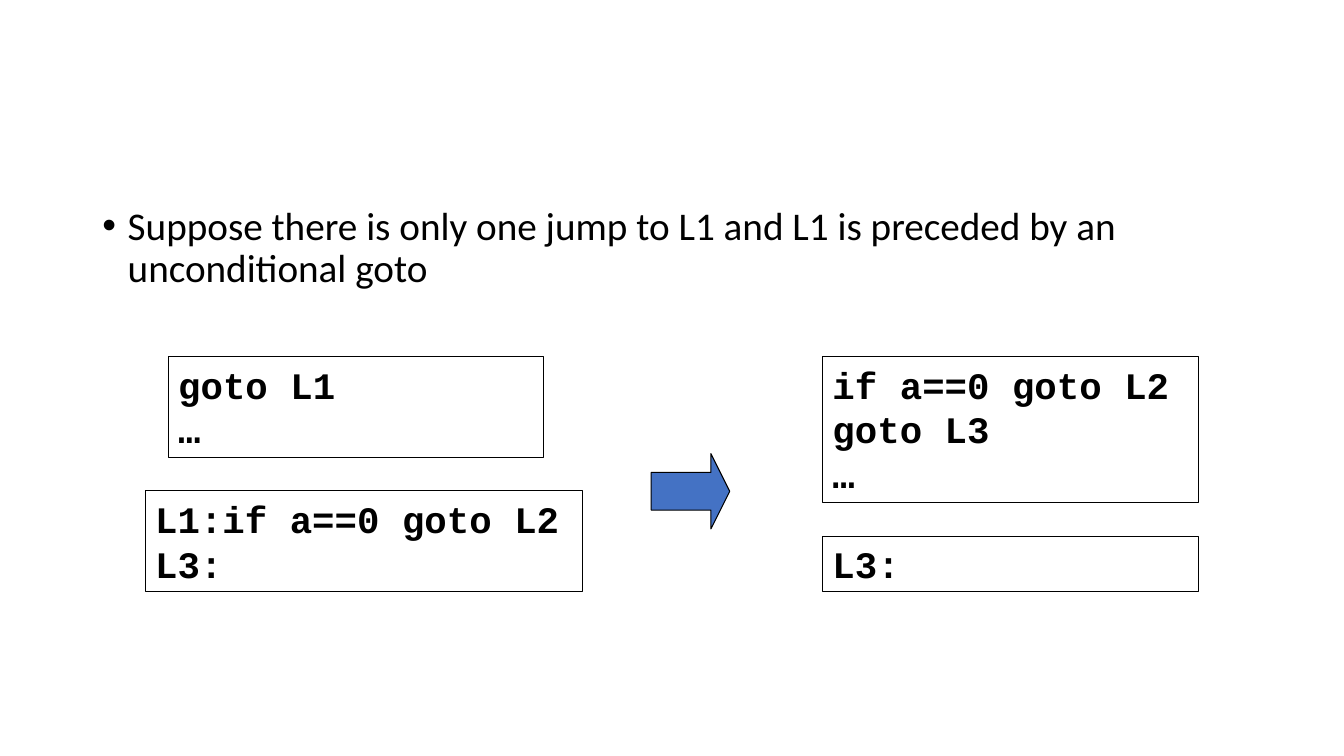
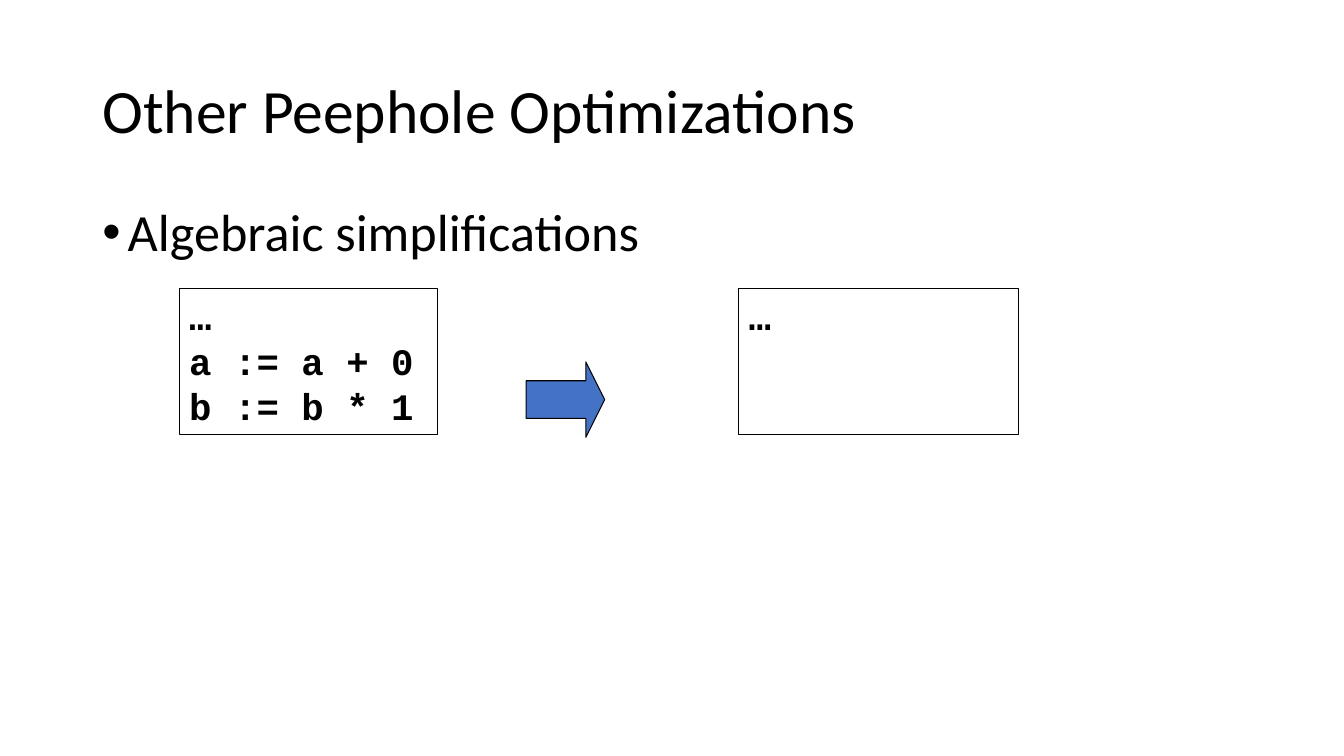
from dataclasses import dataclass

from lxml import etree
from pptx import Presentation
from pptx import util as u
from pptx.dml.color import RGBColor
from pptx.enum import shapes, text
from pptx.oxml.ns import qn


@dataclass(frozen=True)
class Theme:
    ink: RGBColor = RGBColor(0, 0, 0)
    blue: RGBColor = RGBColor(0x44, 0x72, 0xC4)
    sans: str = "Calibri"
    mono: str = "Courier New"
    title: float = 44
    code: float = 26.7
    edge: float = 0.75


@dataclass(frozen=True)
class Code:
    left: float
    top: float
    width: float
    rows: int  # lines of height
    paras: tuple[str, ...]


@dataclass(frozen=True)
class Page:
    title: str
    point: str
    size: float
    arrow: tuple[float, float]
    codes: tuple[Code, ...]


THEME = Theme()
LEFT, WIDTH = 2.33, 29.21  # shared text column, cm
ROW, PAD = 1.14, 0.26  # code line height and box padding, cm

PAGES = (
    Page(
        "",
        "Suppose there is only one jump to L1 and L1 is preceded by an unconditional goto",
        28,
        (16.41, 11.43),
        (
            Code(4.24, 8.99, 9.47, 2, ("goto L1", "…")),
            Code(3.66, 12.37, 11.02, 2, ("L1:if a==0 goto L2 L3:",)),
            Code(20.73, 8.99, 9.47, 3, ("if a==0 goto L2", "goto L3", "…")),
            Code(20.73, 13.51, 9.47, 1, ("L3:",)),
        ),
    ),
    Page(
        "Other Peephole Optimizations",
        "Algebraic simplifications",
        37.3,
        (13.26, 9.12),
        (
            Code(4.52, 7.26, 6.5, 3, ("…\na := a + 0\nb := b * 1",)),
            Code(18.62, 7.26, 7.06, 3, ("…",)),
        ),
    ),
)


def style(para, face: str, size: float, bold: bool = False) -> None:
    font = para.font
    font.name, font.size, font.bold = face, u.Pt(size), bold
    font.color.rgb = THEME.ink


def column(slide, top: float, high: float, words: str):
    """Add a text box in the shared column; return its frame and paragraph."""
    box = slide.shapes.add_textbox(u.Cm(LEFT), u.Cm(top), u.Cm(WIDTH), u.Cm(high))
    frame = box.text_frame
    frame.word_wrap = True
    para = frame.paragraphs[0]
    para.text = words
    para.line_spacing = 0.9
    return frame, para


def title(slide, words: str) -> None:
    frame, para = column(slide, 1.01, 3.68, words)
    frame.vertical_anchor = text.MSO_ANCHOR.MIDDLE
    style(para, THEME.sans, THEME.title)


def bullet(slide, words: str, size: float) -> None:
    _, para = column(slide, 5.08, 12.09, words)
    props = para._p.get_or_add_pPr()
    props.set("marL", str(u.Cm(0.64)))
    props.set("indent", str(-u.Cm(0.64)))
    etree.SubElement(props, qn("a:buFont")).set("typeface", "Arial")
    etree.SubElement(props, qn("a:buChar")).set("char", "•")
    style(para, THEME.sans, size)


def outline(slide, kind, left: float, top: float, width: float, high: float):
    """Add a shape with the shared thin edge and no shadow."""
    shape = slide.shapes.add_shape(kind, u.Cm(left), u.Cm(top), u.Cm(width), u.Cm(high))
    shape.shadow.inherit = False
    shape.line.color.rgb = THEME.ink
    shape.line.width = u.Pt(THEME.edge)
    return shape


def listing(slide, code: Code) -> None:
    box = outline(slide, shapes.MSO_SHAPE.RECTANGLE, code.left, code.top,
                  code.width, code.rows * ROW + PAD)
    box.fill.background()
    frame = box.text_frame
    frame.word_wrap = True
    frame.vertical_anchor = text.MSO_ANCHOR.TOP
    for i, words in enumerate(code.paras):
        para = frame.add_paragraph() if i else frame.paragraphs[0]
        para.text = words
        para.alignment = text.PP_ALIGN.LEFT
        style(para, THEME.mono, THEME.code, bold=True)


def arrow(slide, left: float, top: float) -> None:
    shape = outline(slide, shapes.MSO_SHAPE.RIGHT_ARROW, left, top, 1.98, 1.9)
    shape.adjustments[1] = 0.25
    shape.fill.solid()
    shape.fill.fore_color.rgb = THEME.blue


def main() -> None:
    deck = Presentation()
    deck.slide_width, deck.slide_height = u.Cm(33.87), u.Cm(19.05)
    blank = deck.slide_layouts[6]
    for page in PAGES:
        slide = deck.slides.add_slide(blank)
        # Heading and bullet
        if page.title:
            title(slide, page.title)
        bullet(slide, page.point, page.size)
        # Code before and after
        for code in page.codes:
            listing(slide, code)
        arrow(slide, *page.arrow)
    deck.save("out.pptx")


if __name__ == "__main__":
    main()
